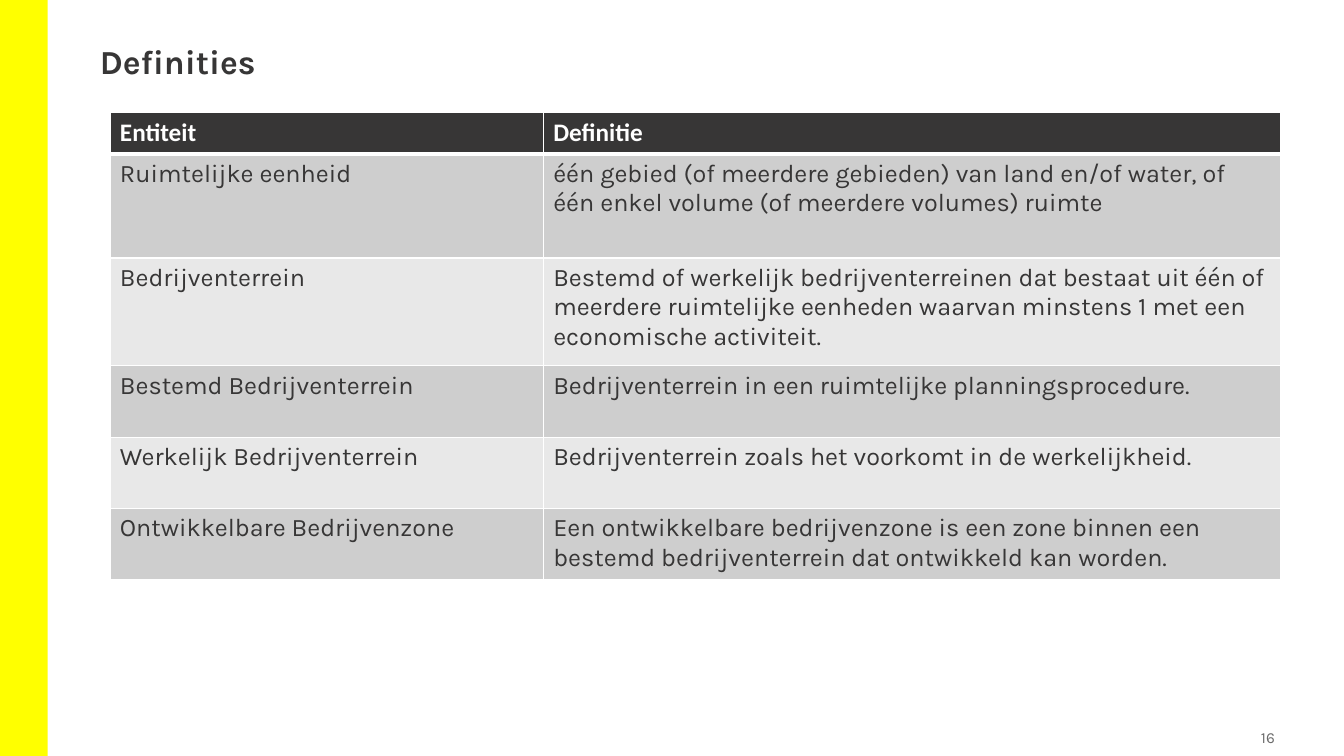
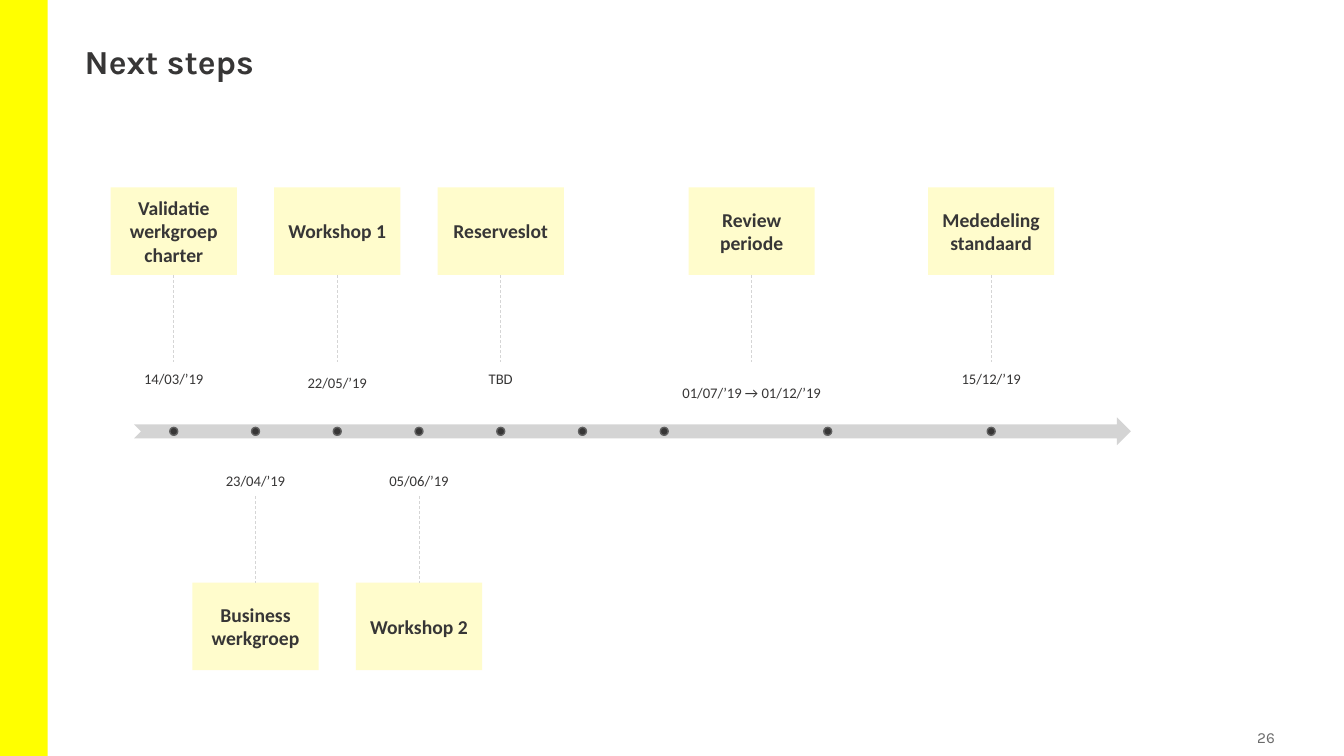
from lxml.etree import SubElement as Sub
from pptx import Presentation
from pptx.dml.color import RGBColor as Rgb
from pptx.enum.dml import MSO_LINE as Dash
from pptx.enum.shapes import MSO_CONNECTOR as Conn, MSO_SHAPE as Form
from pptx.enum.text import MSO_ANCHOR as Anchor, MSO_AUTO_SIZE as Fit, PP_ALIGN as Align
from pptx.oxml.ns import qn
from pptx.util import Cm, Pt

HUES = {
    "band": "FFFF00", "ink": "373636", "note": "6B6B6B", "white": "FFFFFF",
    "odd": "CECECE", "even": "E8E8E8", "card": "FFFCCC",
    "axis": "D4D4D4", "stem": "D5D5D5", "rim": "616161",
}
WIDE, HIGH = 33.87, 19.05
HEAD, BODY = "Karla", "Calibri"


def hue(name):
    return Rgb.from_string(HUES[name])


class Deck:
    """Holds the shared style and the current slide."""

    def __init__(self):
        self.prs = Presentation()
        self.prs.slide_width, self.prs.slide_height = Cm(WIDE), Cm(HIGH)
        self.slide = None

    # Band, title and page number
    def page(self, title, left, num):
        self.slide = self.prs.slides.add_slide(self.prs.slide_layouts[5])
        self.shape(Form.RECTANGLE, 0, 0, 1.2, HIGH, "band")
        head = self.slide.shapes.title
        head.left, head.top, head.width, head.height = Cm(left), Cm(1.02), Cm(30), Cm(1.4)
        frame = head.text_frame
        frame.auto_size, frame.vertical_anchor = Fit.NONE, Anchor.TOP
        self.words(frame, title, 24, HEAD, bold=True, align=Align.LEFT)
        frame.paragraphs[0].line_spacing = 0.9
        self.label(num, 29.72, 18.21, 2.54, 0.74, 11, HEAD, "note", Align.RIGHT)

    # One run of text with its style
    def words(self, frame, text, size, font, ink="ink", bold=False, align=None):
        para = frame.paragraphs[0]
        para.alignment = align
        run = para.add_run()
        run.text = text
        face = run.font
        face.size, face.name, face.bold = Pt(size), font, bold
        face.color.rgb = hue(ink)

    def shape(self, form, x, y, w, h, fill, rim=None):
        item = self.slide.shapes.add_shape(form, Cm(x), Cm(y), Cm(w), Cm(h))
        item.shadow.inherit = False
        item.fill.solid()
        item.fill.fore_color.rgb = hue(fill)
        if rim:
            item.line.color.rgb, item.line.width = hue(rim), Pt(1)
        else:
            item.line.fill.background()
        return item

    def label(self, text, x, y, w, h, size, font, ink="ink", align=Align.CENTER):
        frame = self.slide.shapes.add_textbox(Cm(x), Cm(y), Cm(w), Cm(h)).text_frame
        frame.word_wrap, frame.vertical_anchor = True, Anchor.MIDDLE
        frame.margin_left = frame.margin_right = Cm(0.13)
        frame.margin_top = frame.margin_bottom = 0
        self.words(frame, text, size, font, ink, align=align)

    def card(self, text, x, y, w, h):
        frame = self.shape(Form.RECTANGLE, x, y, w, h, "card").text_frame
        frame.word_wrap, frame.vertical_anchor = True, Anchor.MIDDLE
        self.words(frame, text, 14, BODY, bold=True, align=Align.CENTER)

    def stem(self, x, top, end):
        wire = self.slide.shapes.add_connector(Conn.STRAIGHT, Cm(x), Cm(top), Cm(x), Cm(end))
        wire.line.color.rgb, wire.line.width = hue("stem"), Pt(0.5)
        wire.line.dash_style = Dash.DASH
        Sub(wire.element.spPr, qn("a:effectLst"))

    # White cell borders, thicker below the header
    def edge(self, cell, base):
        props = cell._tc.get_or_add_tcPr()
        for side, wide in (("L", 1), ("R", 1), ("T", 1), ("B", base)):
            line = Sub(props, qn("a:ln" + side), w=str(Pt(wide)))
            Sub(Sub(line, qn("a:solidFill")), qn("a:srgbClr"), val=HUES["white"])

    def table(self, rows, x, y, cols, highs):
        grid = self.slide.shapes.add_table(
            len(rows), len(cols), Cm(x), Cm(y), Cm(sum(cols)), Cm(sum(highs))).table
        for col, wide in zip(grid.columns, cols):
            col.width = Cm(wide)
        for r, (row, high) in enumerate(zip(rows, highs)):
            grid.rows[r].height = Cm(high)
            top = r == 0
            fill = "ink" if top else "odd" if r % 2 else "even"
            for c, text in enumerate(row):
                cell = grid.cell(r, c)
                self.edge(cell, 3 if top else 1)
                cell.fill.solid()
                cell.fill.fore_color.rgb = hue(fill)
                self.words(cell.text_frame, text, 18, BODY if top else HEAD,
                           "white" if top else "ink", top)


TERMS = [
    ("Entiteit", "Definitie"),
    ("Ruimtelijke eenheid",
     "één gebied (of meerdere gebieden) van land en/of water, of "
     "één enkel volume (of meerdere volumes) ruimte"),
    ("Bedrijventerrein",
     "Bestemd of werkelijk bedrijventerreinen dat bestaat uit één of meerdere "
     "ruimtelijke eenheden waarvan minstens 1 met een economische activiteit."),
    ("Bestemd Bedrijventerrein", "Bedrijventerrein in een ruimtelijke planningsprocedure."),
    ("Werkelijk Bedrijventerrein", "Bedrijventerrein zoals het voorkomt in de werkelijkheid."),
    ("Ontwikkelbare Bedrijvenzone",
     "Een ontwikkelbare bedrijvenzone is een zone binnen een "
     "bestemd bedrijventerrein dat ontwikkeld kan worden."),
]

# Slot on the time line, card text, date, middle of the date
ABOVE = [
    (0, "Validatie werkgroep charter", "14/03/’19", 9.55),
    (2, "Workshop 1", "22/05/’19", 9.63),
    (4, "Reserveslot", "TBD", 9.55),
    (7.07, "Review periode", "01/07/’19 → 01/12/’19", 9.9),
    (10, "Mededeling standaard", "15/12/’19", 9.55),
]
BELOW = [
    (1, "Business werkgroep", "23/04/’19", 12.12),
    (3, "Workshop 2", "05/06/’19", 12.12),
]
DOTS = [0, 1, 2, 3, 4, 5, 6, 8, 10]


def terms(deck):
    deck.page("Definities", 2.26, "16")
    deck.table(TERMS, 2.77, 2.84, [10.92, 18.57], [1.04, 2.62, 2.72, 1.8, 1.8, 1.75])


def steps(deck):
    deck.page("Next steps", 1.88, "26")
    first, gap, mid, dot = 4.38, 2.06, 10.87, 0.2
    wide, high, reach = 3.18, 2.21, 2.18

    # Time line with its dots
    deck.shape(Form.NOTCHED_RIGHT_ARROW, 3.38, mid - 0.35, 25.12, 0.7, "axis")
    for slot in DOTS:
        deck.shape(Form.OVAL, first + slot * gap - dot / 2, mid - dot / 2,
                   dot, dot, "ink", "rim")

    # Cards, stems and dates
    for items, top, start in ((ABOVE, 4.72, 4.72 + high), (BELOW, 14.68, 14.68 - reach)):
        for slot, name, date, level in items:
            x = first + slot * gap
            deck.card(name, x - wide / 2, top, wide, high)
            deck.stem(x, start, start + reach)
            deck.label(date, x - 2.5, level - 0.3, 5, 0.6, 10.5, BODY)


def main():
    deck = Deck()
    terms(deck)
    steps(deck)
    deck.prs.save("out.pptx")


if __name__ == "__main__":
    main()
